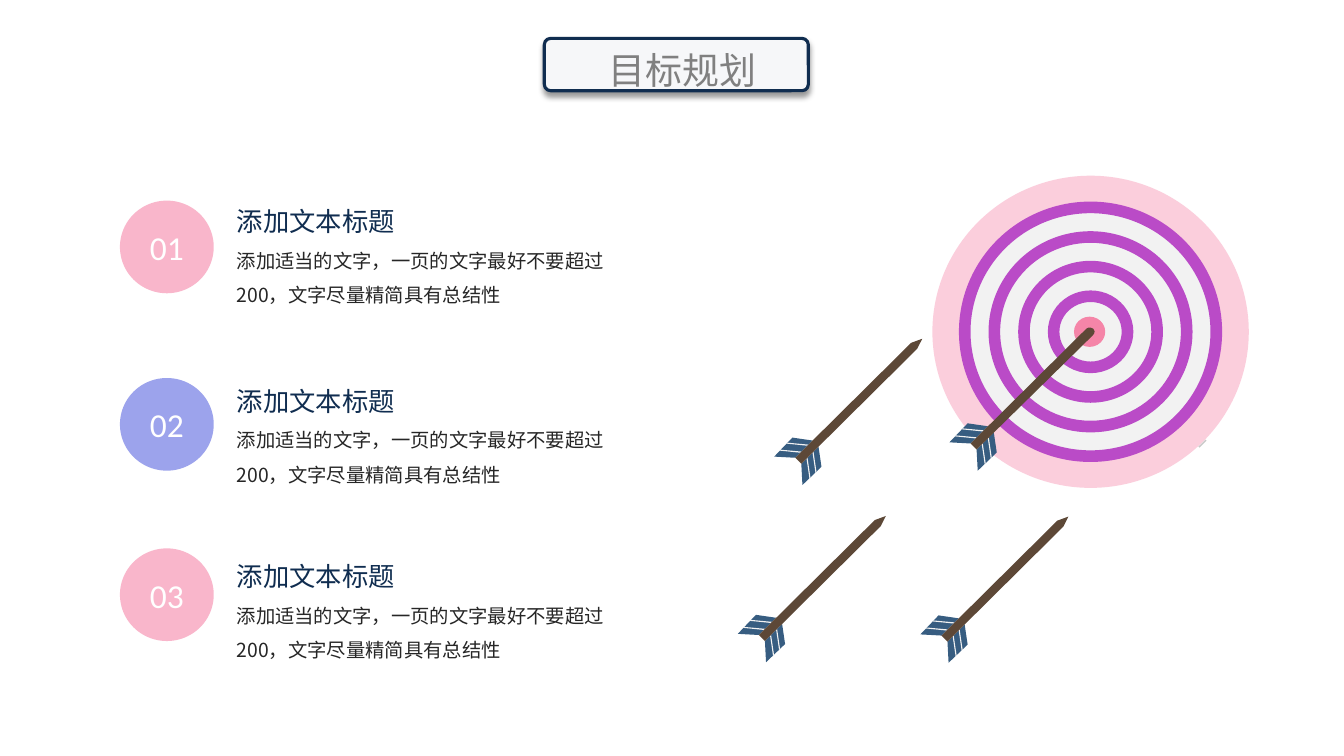
import lxml.etree
import pptx
import pptx.dml.color
import pptx.enum.shapes
import pptx.enum.text
import pptx.oxml
import pptx.oxml.ns
import pptx.util

Pt = pptx.util.Pt
SHAPE = pptx.enum.shapes.MSO_SHAPE
ALIGN = pptx.enum.text.PP_ALIGN
ANCHOR = pptx.enum.text.MSO_ANCHOR
FIT = pptx.enum.text.MSO_AUTO_SIZE

CJK = "Noto Sans CJK SC"
NAVY, PINK, BLUE, PURPLE = "102D50", "F9B6CB", "9CA3EC", "BA4BC7"
PALE, VANE, WOOD = "F2F2F2", "375D81", "5D4837"
HEADING = "添加文本标题"
BODY = "添加适当的文字，一页的文字最好不要超过200，文字尽量精简具有总结性"

SHADOW = (
    '<a:effectLst xmlns:a="http://schemas.openxmlformats.org/drawingml/2006/main">'
    '<a:outerShdw blurRad="50800" dist="38100" dir="5400000" algn="t" rotWithShape="0">'
    '<a:srgbClr val="000000"><a:alpha val="40000"/></a:srgbClr>'
    '</a:outerShdw></a:effectLst>'
)

POINTED_HEAD = [(97.9, 2.9), (105.8, 0), (102.2, 7.2)]
ROUND_HEAD = [(97.9, 2.9), (99.2, 2.3), (100.8, 2.2), (102.8, 3),
              (103.7, 5), (103.3, 6.6), (102.2, 7.9)]
SHAFT_END = [(19.4, 89.3), (15.1, 85)]
LOWER_VANE = [(31.7, 77), (33.8, 91.4), (20.2, 104.4), (19.4, 89.3)]
UPPER_VANE = [(27.4, 72.7), (13, 70.6), (0, 84.2), (15.1, 85)]
LOWER_STRIPE = [(28.1, 80.6), (30.2, 95), (29.5, 95.8), (27.4, 81.4)]
UPPER_STRIPE = [(4.3, 79.2), (19.4, 80.6), (18.7, 81.4), (3.6, 79.9)]


def rgb(value):
    """Return the colour for a hex string."""
    return pptx.dml.color.RGBColor.from_string(value)


def set_all(target, values):
    """Set every attribute in values on target."""
    for name, value in values.items():
        setattr(target, name, value)


def paint(sp, color):
    """Give a shape a flat fill without outline or shadow."""
    sp.shadow.inherit = False
    sp.fill.solid()
    sp.fill.fore_color.rgb = rgb(color)
    sp.line.fill.background()


def write(tf, text, size, color, font=CJK, frame=None, para=None):
    """Write one formatted paragraph into a text frame."""
    set_all(tf, {"word_wrap": True, "vertical_anchor": ANCHOR.TOP, **(frame or {})})
    p = tf.paragraphs[0]
    set_all(p, {"alignment": ALIGN.LEFT, **(para or {})})
    r = p.add_run()
    r.text = text
    set_all(r.font, {"size": Pt(size), "name": font})
    r.font.color.rgb = rgb(color)
    ea = lxml.etree.SubElement(r.font._element, pptx.oxml.ns.qn("a:ea"))
    ea.set("typeface", font)


def ellipse(s, cx, cy, width, height, color, kind=SHAPE.OVAL):
    """Draw a flat round shape about a centre."""
    box = (cx - width / 2, cy - height / 2, width, height)
    sp = s.shapes.add_shape(kind, *map(Pt, box))
    paint(sp, color)
    return sp


def polygon(shapes, left, top, points, color):
    """Draw a closed flat outline relative to a corner."""
    placed = [(Pt(left + x), Pt(top + y)) for x, y in points]
    builder = shapes.build_freeform(*placed[0])
    builder.add_line_segments(placed[1:], close=True)
    paint(builder.convert_to_shape(), color)


def heading(s, left, top, width, height, text):
    """Fill the title and set its framed plate behind it."""
    plate = s.shapes.add_shape(SHAPE.ROUNDED_RECTANGLE,
                               *map(Pt, (left, top, width, height)))
    plate.adjustments[0] = 0.12
    plate.fill.solid()
    plate.fill.fore_color.rgb = rgb("F6F7F9")
    plate.line.color.rgb = rgb(NAVY)
    plate.line.width = Pt(2.25)
    plate.element.spPr.append(pptx.oxml.parse_xml(SHADOW))
    title = s.shapes.title
    title.element.addprevious(plate.element)
    set_all(title, {"left": Pt(left + 38.9), "top": Pt(top + 2.9),
                    "width": Pt(208), "height": Pt(38.9)})
    write(title.text_frame, text, 26.4, "808080", frame={"auto_size": FIT.NONE})


def item(s, left, top, badge_top, number, color):
    """Place a numbered badge with its heading and text."""
    badge = ellipse(s, left + 33.5, badge_top + 33.1, 67, 66.2, color)
    write(badge.text_frame, number, 23.9, "FFFFFF", "Calibri",
          {"vertical_anchor": ANCHOR.MIDDLE}, {"alignment": ALIGN.CENTER})
    sp = s.shapes.add_textbox(*map(Pt, (left + 76.3, top, 128.2, 30.2)))
    write(sp.text_frame, HEADING, 18.8, NAVY,
          frame={"word_wrap": False, "auto_size": FIT.SHAPE_TO_FIT_TEXT})
    sp = s.shapes.add_textbox(*map(Pt, (left + 76.3, top + 22.7, 289.4, 57.6)))
    write(sp.text_frame, BODY, 13.8, "262626",
          frame={"auto_size": FIT.SHAPE_TO_FIT_TEXT}, para={"line_spacing": 1.5})


def target(s, cx, cy):
    """Draw the target with its concentric rings."""
    ellipse(s, cx, cy, 226, 223, "FBCEDC")
    ellipse(s, cx, cy, 180, 178, PALE)
    for step in range(4):
        width, height = 188 - 42.3 * step, 186 - 42.3 * step
        ring = ellipse(s, cx, cy, width, height, PURPLE, SHAPE.DONUT)
        ring.adjustments[0] = 8.3 / height
    ellipse(s, cx - 0.7, cy, 22.3, 21.6, "F585A8")
    polygon(s.shapes, cx, cy, [(82.1, 77), (82.8, 77.7), (77.8, 82.8), (77, 82)], "C9C8C8")


def arrow(s, left, top, head):
    """Draw a feathered arrow as one group."""
    shapes = s.shapes.add_group_shape().shapes
    for vane in (LOWER_VANE, UPPER_VANE):
        polygon(shapes, left, top, vane, VANE)
    for stripe, shift in ((LOWER_STRIPE, -4.3), (UPPER_STRIPE, 5)):
        for step in range(2):
            polygon(shapes, left + shift * step, top - shift * step, stripe, PALE)
    polygon(shapes, left, top, head + SHAFT_END, WOOD)


def goals_slide(prs):
    """Build the goal planning slide."""
    s = prs.slides.add_slide(prs.slide_layouts[5])
    heading(s, 388.8, 27.4, 188.6, 37.4, "目标规划")
    rows = [(143.3, 143.3, PINK), (271.5, 270, BLUE), (396.7, 391.7, PINK)]
    for number, (top, badge_top, color) in enumerate(rows, 1):
        item(s, 85.7, top, badge_top, f"{number:02}", color)
    target(s, 779, 237)
    for left, top in ((527, 368.6), (553, 242), (657.4, 369)):
        arrow(s, left, top, POINTED_HEAD)
    arrow(s, 678.2, 231.8, ROUND_HEAD)


def main():
    """Create and save the presentation."""
    prs = pptx.Presentation()
    set_all(prs, {"slide_width": Pt(960), "slide_height": Pt(540)})
    goals_slide(prs)
    prs.save("out.pptx")


if __name__ == "__main__":
    main()
